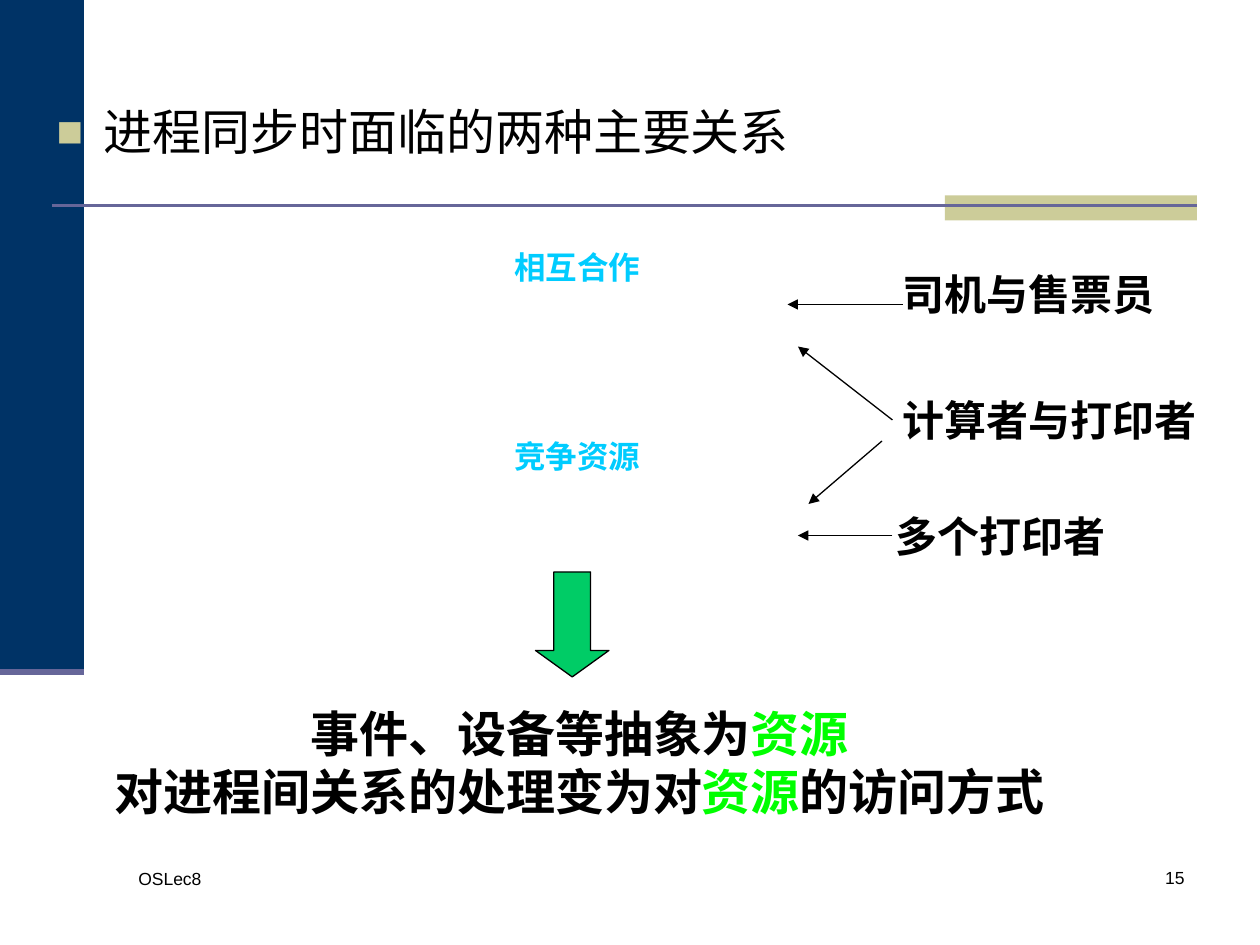
from lxml.etree import SubElement
from pptx import Presentation
from pptx.dml.color import RGBColor
from pptx.enum.shapes import MSO_CONNECTOR, MSO_SHAPE
from pptx.enum.text import MSO_AUTO_SIZE, PP_ALIGN
from pptx.oxml.ns import qn
from pptx.util import Pt

HUES = {
    "navy": "003366", "sand": "CCCC99", "plum": "666699", "black": "000000",
    "cyan": "00CCFF", "green": "00CC66", "lime": "00FF00",
}
LATIN, HAN = "Arial", "Noto Sans CJK SC"


def hue(name):
    return RGBColor.from_string(HUES[name])


def add_text(slide, text, box, size=24, color="black", bold=False, font=LATIN,
             align=PP_ALIGN.LEFT, wrap=False, grow=False):
    """Text is a string, or a list of lines made of (words, color) runs."""
    frame = slide.shapes.add_textbox(*map(Pt, box)).text_frame
    frame.word_wrap = wrap
    frame.auto_size = MSO_AUTO_SIZE.SHAPE_TO_FIT_TEXT if grow else MSO_AUTO_SIZE.NONE
    lines = [[(text, color)]] if isinstance(text, str) else text
    for i, line in enumerate(lines):
        para = frame.add_paragraph() if i else frame.paragraphs[0]
        para.alignment = align
        for words, tint in line:
            run = para.add_run()
            run.text = words
            run.font.size = Pt(size)
            run.font.bold = bold
            run.font.name = font
            run.font.color.rgb = hue(tint)
            SubElement(run.font._element, qn("a:ea"), typeface=HAN)
    return frame


def add_bullet(para, mark, color, scale, indent):
    props = para._p.get_or_add_pPr()
    props.set("marL", str(Pt(indent)))
    props.set("indent", str(-Pt(indent)))
    tint = SubElement(props, qn("a:buClr"))
    SubElement(tint, qn("a:srgbClr"), val=HUES[color])
    SubElement(props, qn("a:buSzPct"), val=str(scale * 1000))
    SubElement(props, qn("a:buFont"), typeface=LATIN)
    SubElement(props, qn("a:buChar"), char=mark)


def add_block(slide, kind, box, fill, line=None):
    shape = slide.shapes.add_shape(kind, *map(Pt, box))
    shape.shadow.inherit = False
    shape.fill.solid()
    shape.fill.fore_color.rgb = hue(fill)
    if line:
        shape.line.color.rgb = hue(line)
        shape.line.width = Pt(0.75)
    else:
        shape.line.fill.background()
    return shape


def add_line(slide, ends, color="black", width=0.75, arrow=False):
    link = slide.shapes.add_connector(MSO_CONNECTOR.STRAIGHT, *map(Pt, ends))
    link.line.color.rgb = hue(color)
    link.line.width = Pt(width)
    if arrow:
        SubElement(link.line._get_or_add_ln(), qn("a:tailEnd"), type="triangle")
    SubElement(link._element.spPr, qn("a:effectLst"))


def main():
    deck = Presentation()
    deck.slide_width, deck.slide_height = Pt(720), Pt(540)
    slide = deck.slides.add_slide(deck.slide_layouts[6])

    # Side band and title rule
    add_block(slide, MSO_SHAPE.RECTANGLE, (0, 0, 48, 384), "navy")
    add_block(slide, MSO_SHAPE.RECTANGLE, (540, 111.6, 144, 14.4), "sand")
    add_line(slide, (30, 117.6, 684, 117.6), "plum", 1.5)
    add_line(slide, (0, 384, 48, 384), "plum", 3.5)

    # Footer
    add_text(slide, "OSLec8", (72, 492.5, 156, 36), size=10, wrap=True)
    add_text(slide, "15", (534, 492, 150, 36), size=10, wrap=True,
             align=PP_ALIGN.RIGHT)

    # Heading
    head = add_text(slide, "进程同步时面临的两种主要关系", (25.2, 54.7, 680.4, 459.4),
                    size=28, wrap=True).paragraphs[0]
    head.space_before = Pt(7)
    add_bullet(head, "■", "sand", 90, 27)

    # Two relations
    for text, top, height in (("相互合作", 138, 60), ("竞争资源", 246, 72)):
        add_text(slide, text, (222, top, 216, height), size=18, color="cyan",
                 bold=True, font=HAN, align=PP_ALIGN.CENTER)

    # Examples and the relations they point to
    for text, left, top, width in (
        ("司机与售票员", 508.5, 150, 158.4),
        ("计算者与打印者", 508.5, 222, 182.4),
        ("多个打印者", 504.8, 288, 134.4),
    ):
        add_text(slide, text, (left, top, width, 36), bold=True, grow=True)
    for ends in ((516, 174, 450, 174), (510, 306, 456, 306),
                 (510, 240, 456, 198), (504, 252, 462, 288)):
        add_line(slide, ends, arrow=True)

    # Conclusion
    down = add_block(slide, MSO_SHAPE.DOWN_ARROW, (306, 326.8, 42, 60),
                     "green", "black")
    down.adjustments[0], down.adjustments[1] = 0.5, 0.36
    key = ("资源", "lime")
    add_text(slide, [
        [("事件、设备等抽象为", "black"), key],
        [("对进程间关系的处理变为对", "black"), key, ("的访问方式", "black")],
    ], (58.3, 398.2, 545.8, 74.9), size=28, bold=True, grow=True,
        align=PP_ALIGN.CENTER)

    deck.save("out.pptx")


if __name__ == "__main__":
    main()
